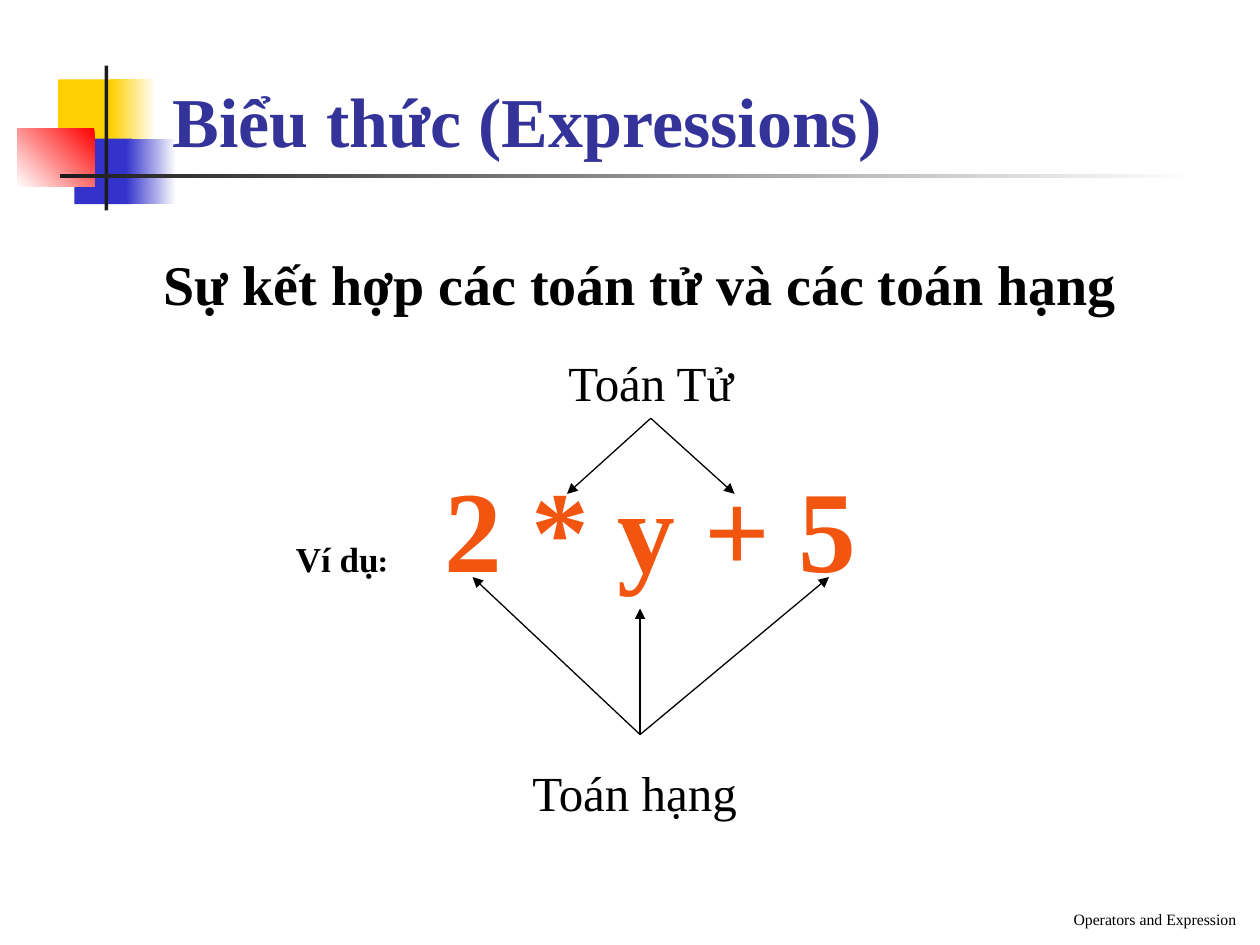
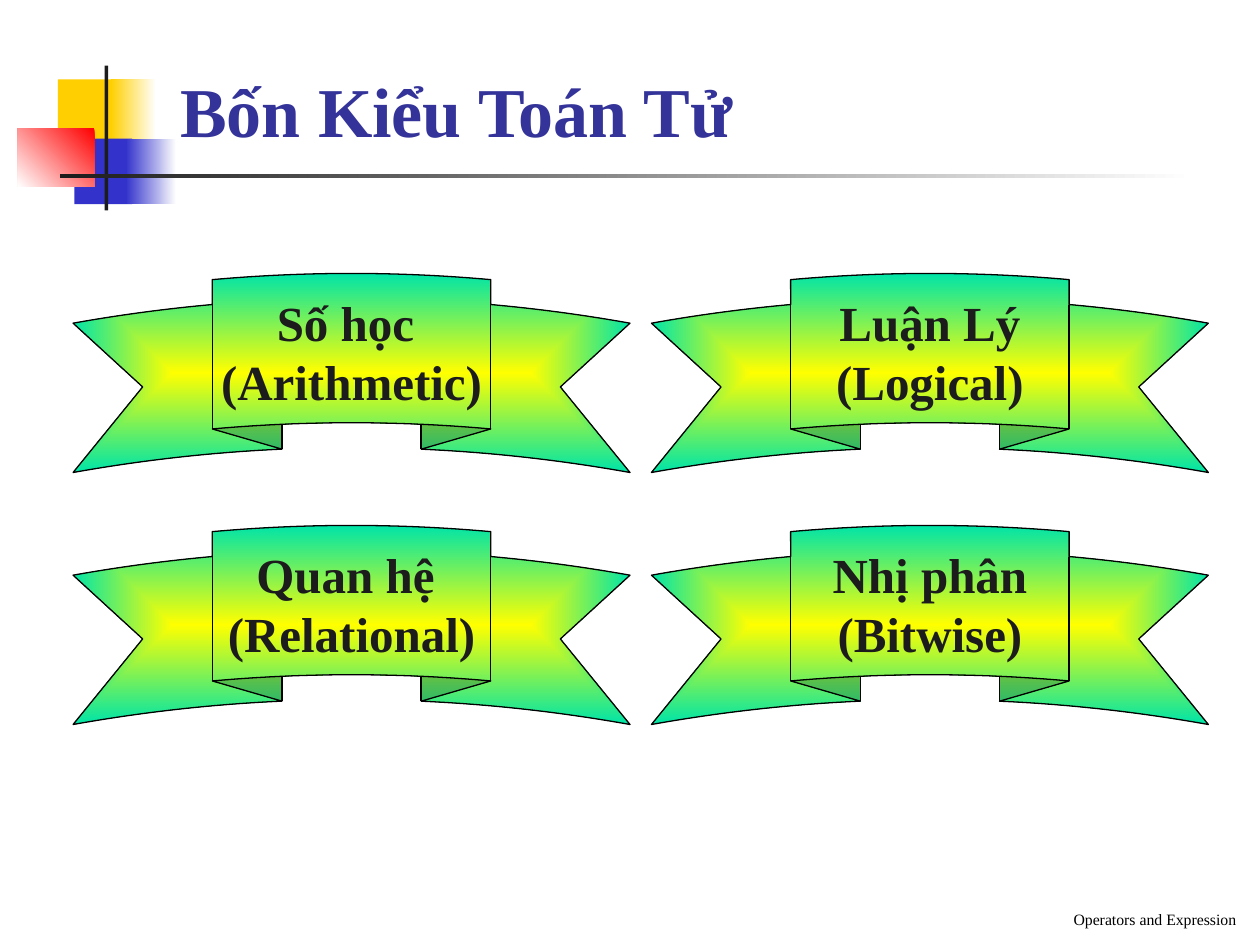
"""Build two slides on expressions and the four kinds of operators."""
import pptx
import pptx.util
import pptx.dml.color
import pptx.enum.shapes
import pptx.enum.text
import pptx.oxml.ns
import lxml.etree

Inches = pptx.util.Inches
Pt = pptx.util.Pt
RGBColor = pptx.dml.color.RGBColor
Preset = pptx.enum.shapes.MSO_SHAPE
Align = pptx.enum.text.PP_ALIGN
Anchor = pptx.enum.text.MSO_ANCHOR
qn = pptx.oxml.ns.qn

WHITE = RGBColor(0xFF, 0xFF, 0xFF)
BLACK = RGBColor(0, 0, 0)
INK = RGBColor(0x1C, 0x1C, 0x1C)
GOLD = RGBColor(0xFF, 0xCF, 0x01)
BLUE = RGBColor(0x33, 0x33, 0xCC)
RED = RGBColor(0xFF, 0, 0)
TITLE_BLUE = RGBColor(0x33, 0x33, 0x99)
ORANGE = RGBColor(0xF1, 0x55, 0x0F)
YELLOW = RGBColor(0xFF, 0xFF, 0)
TEAL = RGBColor(0, 0xE4, 0xA8)
FONT = "Times New Roman"
SYMBOL_FONT = "Karla"


def write(paragraph, text, size=28, color=BLACK, bold=False, font=FONT,
          align=Align.LEFT, before=0):
    """Append a formatted run to a paragraph."""
    paragraph.alignment = align
    paragraph.space_before = Pt(before)
    run = paragraph.add_run()
    run.text = text
    run.font.size = Pt(size)
    run.font.bold = bold
    run.font.name = font
    run.font.color.rgb = color


class Deck:
    """Hold the presentation, its shared style and the current slide."""

    def __init__(self):
        self.presentation = pptx.Presentation()
        self.presentation.slide_width = Inches(10)
        self.presentation.slide_height = Inches(7.5)
        self.layout = self.presentation.slide_layouts[5]
        self.slide = None

    def start_slide(self, title, left, top, width, height):
        """Add a slide with its title and footer."""
        first = self.slide is None
        self.slide = self.presentation.slides.add_slide(self.layout)
        if first:
            self.add_emblem()
        heading = self.slide.shapes.title
        heading.left, heading.top = Inches(left), Inches(top)
        heading.width, heading.height = Inches(width), Inches(height)
        frame = self.set_frame(heading, Anchor.BOTTOM)
        write(frame.paragraphs[0], title, size=40, color=TITLE_BLUE, bold=True)
        self.add_text("Operators and Expression", 3.83, 6.92, 6.08, 0.5,
                      anchor=Anchor.BOTTOM, size=9, align=Align.RIGHT)

    def add_emblem(self):
        """Put the coloured squares and rules on the shared layout."""
        blocks = [
            self.add_block(0.46, 0.63, 0.48, 0.52, GOLD),
            self.add_block(0.88, 0.63, 0.36, 0.52, WHITE, GOLD),
            self.add_block(0.59, 1.1, 0.46, 0.52, BLUE),
            self.add_block(1, 1.1, 0.4, 0.52, WHITE, BLUE),
            self.add_block(0.14, 1.02, 0.61, 0.46, RED, WHITE, angle=225),
            self.add_block(0.83, 0.52, 0.03, 1.15, INK),
            self.add_block(0.48, 1.38, 9, 0.03, WHITE, INK),
        ]
        for position, block in enumerate(blocks, start=2):
            self.layout.shapes.element.insert(position, block.element)

    def add_block(self, left, top, width, height, color, end_color=None,
                  angle=180, preset=Preset.RECTANGLE):
        """Add a borderless shape with a solid or gradient fill."""
        block = self.slide.shapes.add_shape(
            preset, Inches(left), Inches(top), Inches(width), Inches(height))
        block.shadow.inherit = False
        block.line.fill.background()
        if end_color is None:
            block.fill.solid()
            block.fill.fore_color.rgb = color
        else:
            block.fill.gradient()
            block.fill.gradient_angle = angle
            for stop, stop_color in zip(block.fill.gradient_stops,
                                        (color, end_color)):
                stop.color.rgb = stop_color
        return block

    def set_frame(self, shape, anchor, wrap=True):
        """Apply the shared text frame settings."""
        frame = shape.text_frame
        frame.word_wrap = wrap
        frame.auto_size = pptx.enum.text.MSO_AUTO_SIZE.NONE
        frame.vertical_anchor = anchor
        return frame

    def add_text(self, text, left, top, width, height, anchor=Anchor.TOP,
                 **style):
        """Add a text box with one run."""
        box = self.slide.shapes.add_textbox(
            Inches(left), Inches(top), Inches(width), Inches(height))
        frame = self.set_frame(box, anchor)
        write(frame.paragraphs[0], text, **style)
        return box

    def add_tab(self, paragraph, position):
        """Give a paragraph one left tab stop."""
        properties = paragraph._p.get_or_add_pPr()
        stops = lxml.etree.SubElement(properties, qn("a:tabLst"))
        lxml.etree.SubElement(stops, qn("a:tab"), pos=str(Inches(position)),
                              algn="l")

    def add_arrow(self, start, end, source=None):
        """Draw an arrow, joined to the bottom of its source if given."""
        arrow = self.slide.shapes.add_connector(
            pptx.enum.shapes.MSO_CONNECTOR.STRAIGHT,
            *(Inches(length) for length in start + end))
        if source is not None:
            arrow.begin_connect(source, 2)
        arrow.line.color.rgb = BLACK
        arrow.line.width = Pt(0.75)
        properties = arrow.element.spPr
        lxml.etree.SubElement(properties.find(qn("a:ln")), qn("a:tailEnd"),
                              type="triangle")
        lxml.etree.SubElement(properties, qn("a:effectLst"))

    def add_banner(self, lines, left, top):
        """Add a ribbon whose colour runs from its centre to its edges."""
        banner = self.add_block(left, top, 4.42, 1.58, YELLOW, TEAL,
                                preset=Preset.CURVED_UP_RIBBON)
        gradient = banner.element.spPr.find(qn("a:gradFill"))
        gradient.remove(gradient.find(qn("a:lin")))
        shade = lxml.etree.SubElement(gradient, qn("a:path"))
        shade.set("path", "rect")
        lxml.etree.SubElement(shade, qn("a:fillToRect"),
                              l="50000", t="50000", r="50000", b="50000")
        banner.line.color.rgb = BLACK
        banner.line.width = Pt(0.75)
        frame = self.set_frame(banner, Anchor.MIDDLE, wrap=False)
        for index, line in enumerate(lines):
            paragraph = frame.add_paragraph() if index else frame.paragraphs[0]
            write(paragraph, line, color=INK, bold=True, align=Align.CENTER)


def build_expressions(deck):
    """Show an expression with its operators and operands."""
    deck.start_slide("Biểu thức (Expressions)", 1.27, 0.43, 7.56, 0.9)
    definition = deck.add_text("Sự kết hợp các toán tử và các toán hạng",
                               0.42, 1.93, 9.33, 0.64, size=32, bold=True,
                               before=20)
    definition.text_frame.margin_left = Inches(0.88)

    operands_apex = (5.08, 5.83)
    for operand in ((3.75, 4.58), (6.58, 4.58), (5.08, 4.83)):
        deck.add_arrow(operands_apex, operand)
    deck.add_text("Toán hạng ", 3.92, 6, 2.33, 0.57, align=Align.CENTER,
                  before=17.5)

    operators_label = deck.add_text("Toán Tử", 4.25, 2.75, 1.83, 0.57,
                                    align=Align.CENTER, before=17.5)
    for operator in ((4.5, 3.92), (5.83, 3.92)):
        deck.add_arrow((5.17, 3.33), operator, source=operators_label)

    example = deck.add_text("Ví dụ", 2.25, 3.58, 5.75, 1.2, size=20,
                            bold=True, before=41.2)
    formula = example.text_frame.paragraphs[0]
    write(formula, ":", size=18, bold=True, font=SYMBOL_FONT, before=41.2)
    write(formula, "\t2 * y + 5", size=66, color=ORANGE, bold=True,
          before=41.2)
    deck.add_tab(formula, 1.18)


def build_operator_kinds(deck):
    """Show the four kinds of operators on ribbons."""
    deck.start_slide("Bốn Kiểu Toán Tử", 1.33, 0.33, 6.88, 0.92)
    kinds = [("Số học ", "(Arithmetic)"), ("Quan hệ ", "(Relational)"),
             ("Luận Lý", "(Logical)"), ("Nhị phân", "(Bitwise)")]
    for index, lines in enumerate(kinds):
        column, row = divmod(index, 2)
        deck.add_banner(lines, 0.58 + 4.59 * column, 2.17 + 2 * row)


def main():
    """Build and save the presentation."""
    deck = Deck()
    build_expressions(deck)
    build_operator_kinds(deck)
    deck.presentation.save("out.pptx")


if __name__ == "__main__":
    main()
